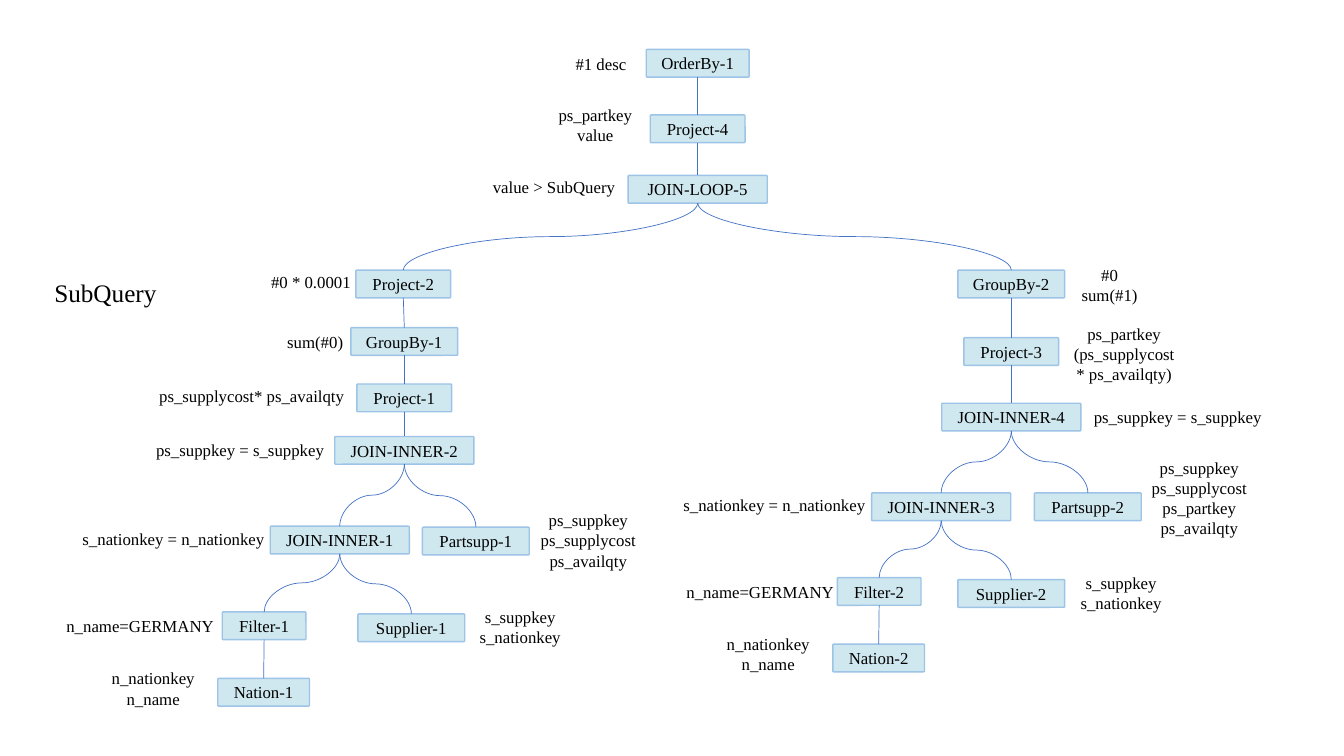
from collections import namedtuple

from lxml import etree
from pptx import Presentation
from pptx import util as u
from pptx.dml.color import RGBColor
from pptx.enum import shapes, text
from pptx.oxml import ns

UNIT = u.Inches(0.1)
NODE_FILL = RGBColor(0xCF, 0xE8, 0xEF)
NODE_LINE = RGBColor(0x9D, 0xC3, 0xE6)
LINK_LINE = RGBColor(0x44, 0x72, 0xC4)
INK = RGBColor(0, 0, 0)
FONT = "Times New Roman"
NODE_HEIGHT = 2.75
NODE_WIDTHS = {
    "OrderBy": 10.2, "Project": 9.4, "JOIN": 13.8, "GroupBy": 10.6,
    "Partsupp": 10.6, "Supplier": 10.6, "Filter": 8.3, "Nation": 9.1,
}

Box = namedtuple("Box", "left top width height")
Node = namedtuple("Node", "name parent center top")
Note = namedtuple("Note", "left top width lines words")

TOP_NODES = [
    Node("OrderBy-1", None, 22.2, 0.9),
    Node("Project-4", "OrderBy-1", 22.2, 7.4),
    Node("JOIN-LOOP-5", "Project-4", 22.2, 13.4),
]
TOP_NOTES = [
    Note(9.1, 0.8, 10.8, 1, "#1 desc"),
    Note(6.1, 5.9, 11.9, 2, "ps_partkey\nvalue"),
    Note(0.9, 13, 15.6, 1, "value > SubQuery"),
]
SUBQUERY_NODES = [
    Node("Project-2", "JOIN-LOOP-5", 36, 0.8),
    Node("GroupBy-1", "Project-2", 36.1, 6.5),
    Node("Project-1", "GroupBy-1", 36.1, 12.1),
    Node("JOIN-INNER-2", "Project-1", 36.1, 17.3),
    Node("JOIN-INNER-1", "JOIN-INNER-2", 29.7, 26.2),
    Node("Partsupp-1", "JOIN-INNER-2", 43.2, 26.3),
    Node("Filter-1", "JOIN-INNER-1", 22.2, 34.7),
    Node("Supplier-1", "JOIN-INNER-1", 36.8, 34.9),
    Node("Nation-1", "Filter-1", 22.15, 41.3),
]
SUBQUERY_NOTES = [
    Note(21.9, 0.5, 10.8, 1, "#0 * 0.0001"),
    Note(23.5, 6.4, 8.1, 1, "sum(#0)"),
    Note(10.8, 11.8, 20.8, 1, "ps_supplycost* ps_availqty"),
    Note(10.5, 17.1, 19.6, 1, "ps_suppkey = s_suppkey"),
    Note(3.2, 26, 21.6, 1, "s_nationkey = n_nationkey"),
    Note(48.4, 24.1, 11.9, 3, "ps_suppkey\nps_supplycost\nps_availqty"),
    Note(1.6, 34.6, 17.1, 1, "n_name=GERMANY"),
    Note(5.7, 39.8, 11, 2, "n_nationkey n_name"),
    Note(42.1, 33.7, 11, 2, "s_suppkey s_nationkey"),
]
QUERY_NODES = [
    Node("GroupBy-2", "JOIN-LOOP-5", 34.3, 1.8),
    Node("Project-3", "GroupBy-2", 34.3, 8.5),
    Node("JOIN-INNER-4", "Project-3", 34.3, 15),
    Node("JOIN-INNER-3", "JOIN-INNER-4", 27.35, 23.9),
    Node("Partsupp-2", "JOIN-INNER-4", 41.9, 23.9),
    Node("Filter-2", "JOIN-INNER-3", 21.2, 32.3),
    Node("Supplier-2", "JOIN-INNER-3", 34.3, 32.5),
    Node("Nation-2", "Filter-2", 21.15, 38.9),
]
QUERY_NOTES = [
    Note(40, 0.8, 8.1, 2, "#0\nsum(#1)"),
    Note(39.2, 6.6, 12.6, 3, "ps_partkey\n(ps_supplycost\n* ps_availqty)"),
    Note(41.5, 14.9, 19.6, 1, "ps_suppkey = s_suppkey"),
    Note(0.8, 23.6, 21.6, 1, "s_nationkey = n_nationkey"),
    Note(47, 19.9, 11.9, 4, "ps_suppkey\nps_supplycost\nps_partkey\nps_availqty"),
    Note(1.1, 32.2, 17.1, 1, "n_name=GERMANY"),
    Note(4.7, 37.4, 11, 2, "n_nationkey n_name"),
    Note(39.7, 31.3, 11, 2, "s_suppkey s_nationkey"),
]


def grid(*counts):
    return [round(count * UNIT) for count in counts]


def write(frame, words, size=12, align=text.PP_ALIGN.CENTER):
    frame.word_wrap = True
    for index, line in enumerate(words.split("\n")):
        paragraph = frame.add_paragraph() if index else frame.paragraphs[0]
        paragraph.alignment = align
        run = paragraph.add_run()
        run.text = line
        run.font.name = FONT
        run.font.size = u.Pt(size)
        run.font.color.rgb = INK


def add_node(slide, box, node):
    width = NODE_WIDTHS[node.name.split("-")[0]]
    shape = slide.shapes.add_shape(
        shapes.MSO_SHAPE.ROUNDED_RECTANGLE,
        *grid(box.left + node.center - width / 2, box.top + node.top, width, NODE_HEIGHT))
    shape.adjustments[0] = 0.036
    shape.shadow.inherit = False
    shape.fill.solid()
    shape.fill.fore_color.rgb = NODE_FILL
    shape.line.color.rgb = NODE_LINE
    shape.line.width = u.Pt(1)
    shape.text_frame.vertical_anchor = text.MSO_ANCHOR.MIDDLE
    write(shape.text_frame, node.name)
    return shape


def turn_curve(connector, start_x, start_y, end_x, end_y):
    run, rise = abs(end_x - start_x), end_y - start_y
    connector.left = (start_x + end_x - rise) // 2
    connector.top = (start_y + end_y - run) // 2
    connector.width, connector.height = rise, run
    rightward = end_x > start_x
    transform = connector.element.spPr.find(ns.qn("a:xfrm"))
    transform.set("rot", "16200000" if rightward else "5400000")
    transform.set("flipH", "1" if rightward else "0")


def add_link(slide, parent, child):
    ends = (parent.left + parent.width // 2, parent.top + parent.height,
            child.left + child.width // 2, child.top)
    curved = abs(ends[0] - ends[2]) > UNIT
    kind = shapes.MSO_CONNECTOR.CURVE if curved else shapes.MSO_CONNECTOR.STRAIGHT
    connector = slide.shapes.add_connector(kind, *ends)
    connector.begin_connect(parent, 2)
    connector.end_connect(child, 0)
    if curved:
        turn_curve(connector, *ends)
    connector.line.color.rgb = LINK_LINE
    connector.line.width = u.Pt(0.5)
    etree.SubElement(connector.element.spPr, ns.qn("a:effectLst"))


def add_note(slide, box, note, size=12):
    height = 1 + note.lines * size * 0.168
    shape = slide.shapes.add_textbox(
        *grid(box.left + note.left, box.top + note.top, note.width, height))
    align = text.PP_ALIGN.CENTER if note.lines > 1 else text.PP_ALIGN.LEFT
    write(shape.text_frame, note.words, size=size, align=align)
    shape.text_frame.auto_size = text.MSO_AUTO_SIZE.SHAPE_TO_FIT_TEXT


def draw_plan(slide, box, nodes, notes, drawn):
    for node in nodes:
        drawn[node.name] = add_node(slide, box, node)
        if node.parent:
            add_link(slide, drawn[node.parent], drawn[node.name])
    for note in notes:
        add_note(slide, box, note)


def draw_subquery(slide, box, drawn):
    draw_plan(slide, box, SUBQUERY_NODES, SUBQUERY_NOTES, drawn)
    add_note(slide, box, Note(0.4, 1, 12.8, 1, "SubQuery"), size=18)


def main():
    presentation = Presentation()
    presentation.slide_width = u.Inches(13.33)
    presentation.slide_height = u.Inches(7.5)
    slide = presentation.slides.add_slide(presentation.slide_layouts[6])
    drawn = {}
    draw_plan(slide, Box(47, 4, 30, 17), TOP_NODES, TOP_NOTES, drawn)
    draw_subquery(slide, Box(4, 26, 61, 45), drawn)
    draw_plan(slide, Box(66, 25, 62, 43), QUERY_NODES, QUERY_NOTES, drawn)
    presentation.save("out.pptx")


if __name__ == "__main__":
    main()
